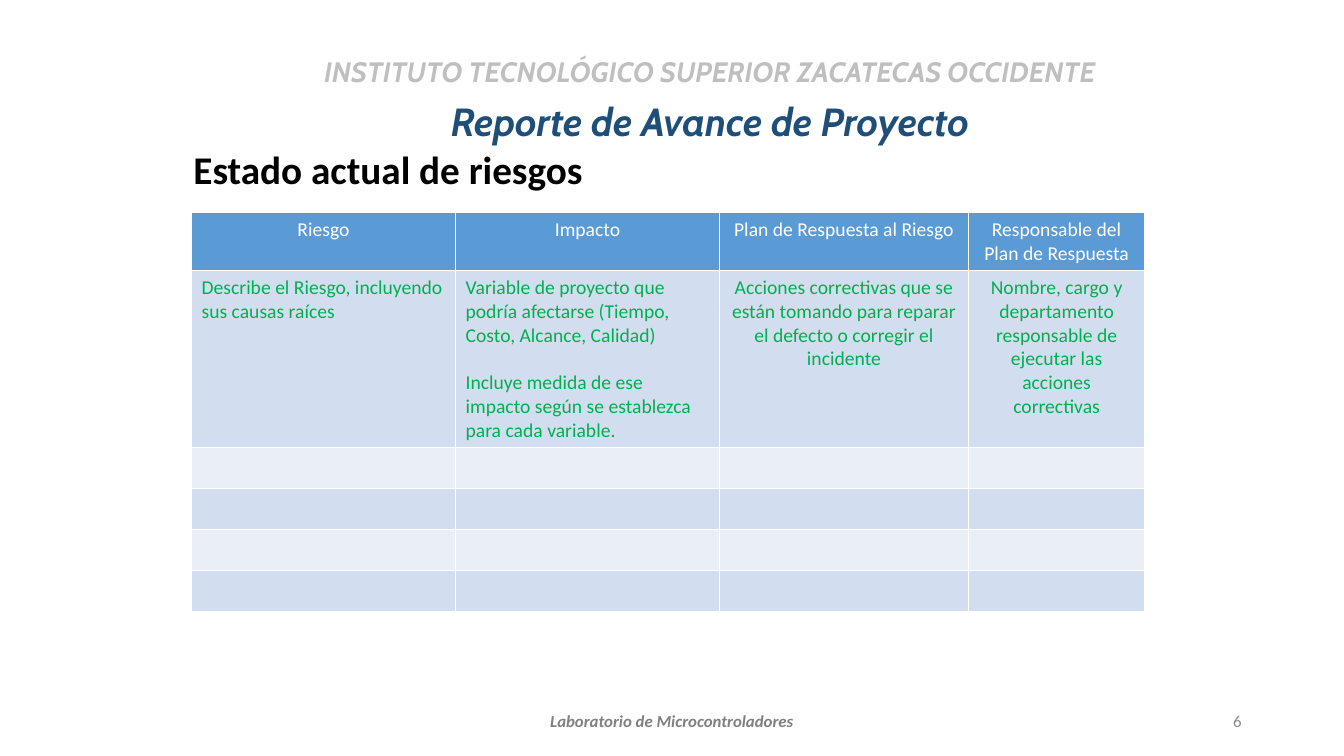
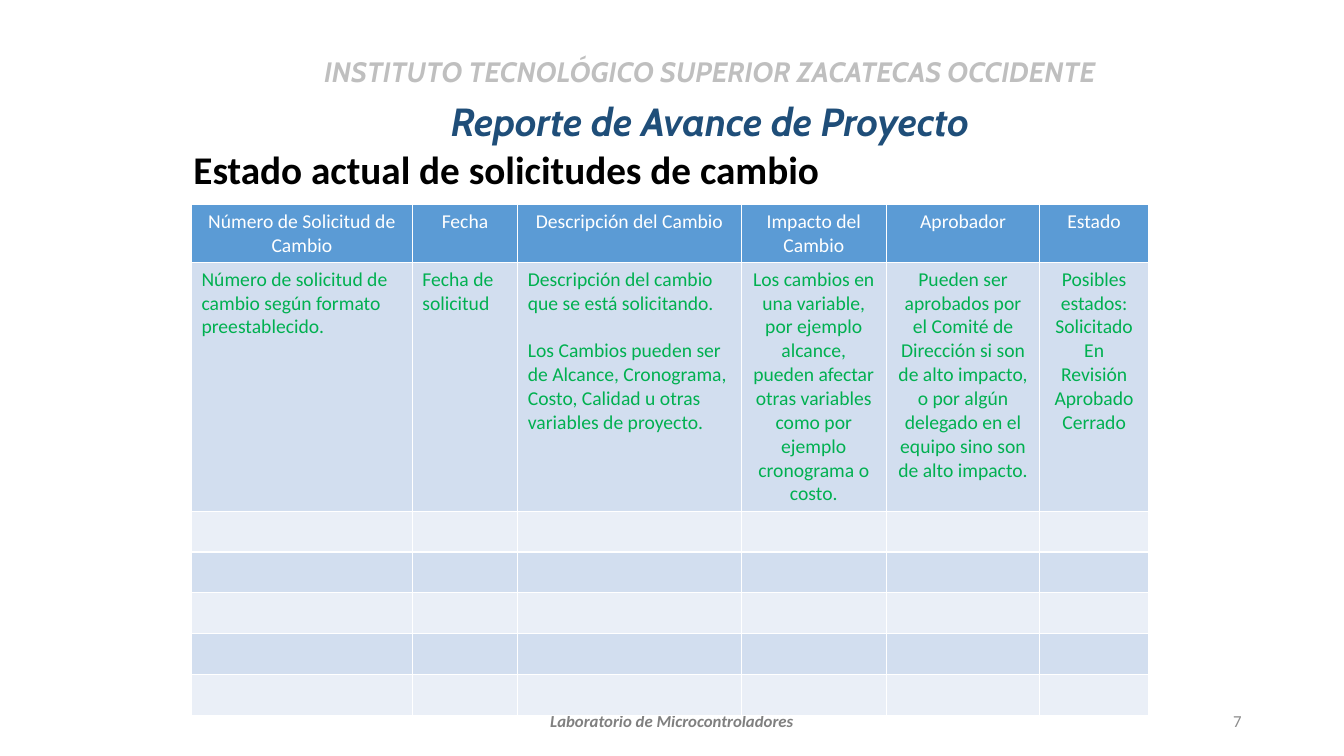
from lxml import etree
from pptx import Presentation
from pptx.dml.color import RGBColor
from pptx.enum import text
from pptx.oxml import ns
from pptx.util import Pt

COLORS = {
    "title": "000000", "institute": "BFBFBF", "report": "1F4E79",
    "footer": "808080", "number": "8C8C8C", "header": "5B9BD5",
    "guide": "00B050", "band": "D2DEEF", "light": "EAEFF7", "white": "FFFFFF",
}
LEFT, CENTER, RIGHT = text.PP_ALIGN.LEFT, text.PP_ALIGN.CENTER, text.PP_ALIGN.RIGHT
FIRST_NUMBER = 6
TABLE_LEFT = 136.8
HEADER_HEIGHT = 41
ROW_HEIGHT = 28


class Report:
    def __init__(self):
        self.deck = Presentation()
        self.deck.slide_width, self.deck.slide_height = Pt(960), Pt(540)
        self.deck.element.set("firstSlideNum", str(FIRST_NUMBER))
        self.page = None

    def add_page(self, title):
        self.page = self.deck.slides.add_slide(self.deck.slide_layouts[5])
        self.fill_box(self.page.shapes.title, (131, 106.5, 612, 28), title,
                      28, "title", LEFT, bold=True)
        self.label((120, 36.7, 774, 28.8), "INSTITUTO TECNOLÓGICO SUPERIOR ZACATECAS OCCIDENTE",
                   20, "institute", font="Cabin", bold=True, italic=True)
        self.label((120, 72, 774, 28.8), "Reporte de Avance de Proyecto",
                   28, "report", font="Cabin", bold=True, italic=True)
        self.label((318, 500.5, 324, 28.8), "Laboratorio de Microcontroladores",
                   12, "footer", bold=True, italic=True)
        self.page_number()

    def style_frame(self, frame, size, color, align, font="Calibri", bold=False, italic=False):
        for para in frame.paragraphs:
            para.alignment = align
            for span in para.runs:
                span.font.name, span.font.size = font, Pt(size)
                span.font.bold, span.font.italic = bold, italic
                span.font.color.rgb = RGBColor.from_string(COLORS[color])

    def fill_box(self, box, place, words, size, color, align, **style):
        box.left, box.top, box.width, box.height = (Pt(value) for value in place)
        frame = box.text_frame
        frame.text = words
        frame.word_wrap = True
        frame.auto_size = text.MSO_AUTO_SIZE.NONE
        frame.vertical_anchor = text.MSO_ANCHOR.MIDDLE
        self.style_frame(frame, size, color, align, **style)

    def label(self, place, words, size, color, align=CENTER, **style):
        box = self.page.shapes.add_textbox(0, 0, 0, 0)
        self.fill_box(box, place, words, size, color, align, **style)
        return box

    def page_number(self):
        number = FIRST_NUMBER + len(self.deck.slides) - 1
        box = self.label((678, 500.5, 216, 28.8), str(number), 12, "number", RIGHT)
        field = box.element.find(".//" + ns.qn("a:r"))
        field.tag = ns.qn("a:fld")
        field.set("id", "{B6F15528-21DE-4FAA-801E-634DDDAF4B2B}")
        field.set("type", "slidenum")

    def cell(self, cell, words, fill, color, align):
        for side in ("lnL", "lnR", "lnT", "lnB"):
            line = etree.SubElement(cell._tc.get_or_add_tcPr(), ns.qn("a:" + side), w=str(Pt(1)))
            solid = etree.SubElement(line, ns.qn("a:solidFill"))
            etree.SubElement(solid, ns.qn("a:srgbClr"), val=COLORS["white"])
        cell.fill.solid()
        cell.fill.fore_color.rgb = RGBColor.from_string(COLORS[fill])
        cell.text_frame.text = words
        self.style_frame(cell.text_frame, 14, color, align)

    def table(self, top, widths, headers, guides, left_columns, guide_height, empty_rows):
        heights = [HEADER_HEIGHT, guide_height] + [ROW_HEIGHT] * empty_rows
        frame = self.page.shapes.add_table(
            len(heights), len(widths), Pt(TABLE_LEFT), Pt(top), Pt(sum(widths)), Pt(sum(heights)))
        table = frame.table
        for column, width in zip(table.columns, widths):
            column.width = Pt(width)
        contents = [headers, guides] + [[""] * len(widths)] * empty_rows
        for row, (height, entries) in enumerate(zip(heights, contents)):
            table.rows[row].height = Pt(height)
            fill = "header" if row == 0 else "band" if row % 2 else "light"
            color = "guide" if row else "white"
            for column, words in enumerate(entries):
                align = LEFT if row and column < left_columns else CENTER
                self.cell(table.cell(row, column), words, fill, color, align)
        return table

    def separate_second_paragraph(self, cell):
        cell.text_frame.paragraphs[1].space_before = Pt(17)


def main():
    report = Report()

    report.add_page("Estado actual de riesgos")
    risks = report.table(
        152, [188.6, 188.6, 177.8, 126],
        ["Riesgo", "Impacto", "Plan de Respuesta al Riesgo", "Responsable del Plan de Respuesta"],
        ["Describe el Riesgo, incluyendo sus causas raíces",
         "Variable de proyecto que podría afectarse (Tiempo, Costo, Alcance, Calidad)\n"
         "Incluye medida de ese impacto según se establezca para cada variable.",
         "Acciones correctivas que se están tomando para reparar el defecto o corregir el incidente",
         "Nombre, cargo y departamento responsable de ejecutar las acciones correctivas"],
        left_columns=2, guide_height=126, empty_rows=4)
    report.separate_second_paragraph(risks.cell(1, 1))

    report.add_page("Estado actual de solicitudes de cambio")
    changes = report.table(
        146.2, [157.7, 75.4, 159.6, 103.7, 109.6, 77.6],
        ["Número de Solicitud de Cambio", "Fecha", "Descripción del Cambio",
         "Impacto del Cambio", "Aprobador", "Estado"],
        ["Número de solicitud de cambio según formato preestablecido.",
         "Fecha de solicitud",
         "Descripción del cambio que se está solicitando.\n"
         "Los Cambios pueden ser de Alcance, Cronograma, Costo, Calidad u otras variables de proyecto.",
         "Los cambios en una variable, por ejemplo alcance, pueden afectar otras variables "
         "como por ejemplo cronograma o costo.",
         "Pueden ser aprobados por el Comité de Dirección si son de alto impacto, "
         "o por algún delegado en el equipo sino son de alto impacto.",
         "Posibles estados:\nSolicitado\nEn Revisión\nAprobado\nCerrado"],
        left_columns=3, guide_height=177, empty_rows=5)
    report.separate_second_paragraph(changes.cell(1, 2))

    report.deck.save("out.pptx")


if __name__ == "__main__":
    main()
